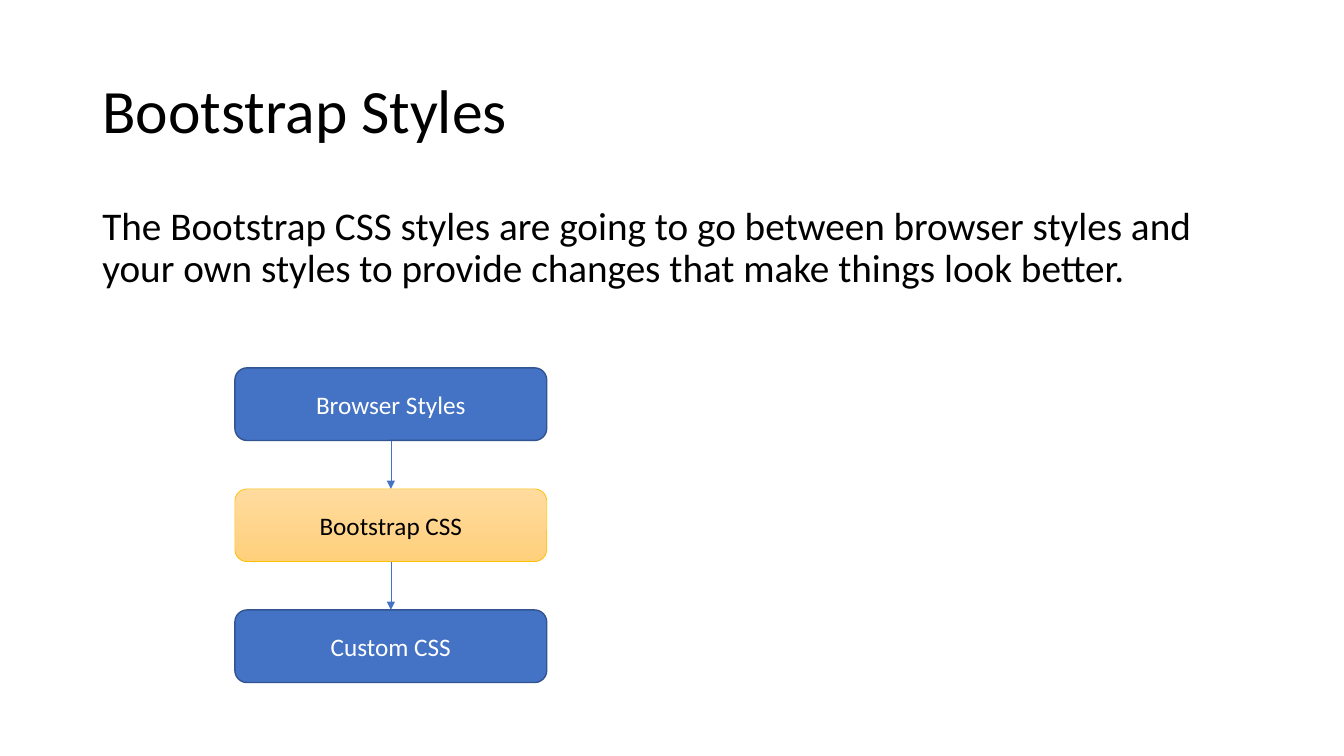
from lxml import etree
from pptx import Presentation
from pptx.dml.color import RGBColor
from pptx.enum.shapes import MSO_CONNECTOR, MSO_SHAPE
from pptx.enum.text import MSO_ANCHOR, PP_ALIGN
from pptx.oxml.ns import qn
from pptx.util import Cm, Pt

ROUNDED = MSO_SHAPE.ROUNDED_RECTANGLE
STRAIGHT = MSO_CONNECTOR.STRAIGHT
TOP, MIDDLE = MSO_ANCHOR.TOP, MSO_ANCHOR.MIDDLE
LEFT, CENTER = PP_ALIGN.LEFT, PP_ALIGN.CENTER

FONT = "Calibri"
COLORS = {
    "black": "000000",
    "white": "FFFFFF",
    "blue": "4472C4",
    "dark_blue": "325491",
    "gold": "FFC000",
    "light_amber": "FFDB9E",
    "amber": "FFD07C",
}
TITLE = "Bootstrap Styles"
BODY = (
    "The Bootstrap CSS styles are going to go\u00a0between browser styles and "
    "your own styles\u00a0to provide changes that make things look better."
)
STYLES = {
    "plain": {"fill": ["blue"], "line": "dark_blue", "width": 1, "text": "white"},
    "highlight": {"fill": ["light_amber", "amber"], "line": "gold", "width": 0.5, "text": "black"},
}
LAYERS = [
    ("Browser Styles", "plain"),
    ("Bootstrap CSS", "highlight"),
    ("Custom CSS", "plain"),
]

MARGIN, TEXT_WIDTH = Cm(2.33), Cm(29.21)
LAYER_LEFT, LAYER_TOP = Cm(5.92), Cm(9.27)
LAYER_WIDTH, LAYER_HEIGHT = Cm(7.86), Cm(1.83)
LAYER_STEP = Cm(3.05)


def rgb(name):
    return RGBColor.from_string(COLORS[name])


def write(shape, text, size, color, anchor, align):
    frame = shape.text_frame
    frame.text = text
    frame.word_wrap = True
    frame.vertical_anchor = anchor
    paragraph = frame.paragraphs[0]
    paragraph.alignment = align
    font = paragraph.runs[0].font
    font.name, font.size = FONT, Pt(size)
    font.color.rgb = rgb(color)
    return paragraph


def add_text(slide, text, top, height, size, anchor):
    box = slide.shapes.add_textbox(MARGIN, top, TEXT_WIDTH, height)
    paragraph = write(box, text, size, "black", anchor, LEFT)
    paragraph.line_spacing = 0.9
    return paragraph


def add_layer(slide, text, style, top):
    shape = slide.shapes.add_shape(ROUNDED, LAYER_LEFT, top, LAYER_WIDTH, LAYER_HEIGHT)
    shape.shadow.inherit = False
    if len(style["fill"]) == 1:
        shape.fill.solid()
        shape.fill.fore_color.rgb = rgb(style["fill"][0])
    else:
        shape.fill.gradient()
        shape.fill.gradient_angle = 270
        for stop, color in zip(shape.fill.gradient_stops, style["fill"]):
            stop.color.rgb = rgb(color)
    shape.line.color.rgb = rgb(style["line"])
    shape.line.width = Pt(style["width"])
    write(shape, text, 18, style["text"], MIDDLE, CENTER)
    return shape


def add_arrow(slide, upper, lower):
    arrow = slide.shapes.add_connector(STRAIGHT, 0, 0, 0, 0)
    arrow.begin_connect(upper, 2)
    arrow.end_connect(lower, 0)
    arrow.line.color.rgb = rgb("blue")
    arrow.line.width = Pt(0.5)
    etree.SubElement(arrow.line._get_or_add_ln(), qn("a:tailEnd"), type="triangle")
    etree.SubElement(arrow._element.spPr, qn("a:effectLst"))


presentation = Presentation()
presentation.slide_width, presentation.slide_height = Cm(33.87), Cm(19.05)
slide = presentation.slides.add_slide(presentation.slide_layouts[6])

add_text(slide, TITLE, Cm(1.01), Cm(3.68), 44, MIDDLE)
body = add_text(slide, BODY, Cm(5.07), Cm(12.09), 28, TOP)
body.space_before = Pt(10)

layers = [
    add_layer(slide, text, STYLES[style], LAYER_TOP + index * LAYER_STEP)
    for index, (text, style) in enumerate(LAYERS)
]
for upper, lower in zip(layers, layers[1:]):
    add_arrow(slide, upper, lower)

presentation.save("out.pptx")
